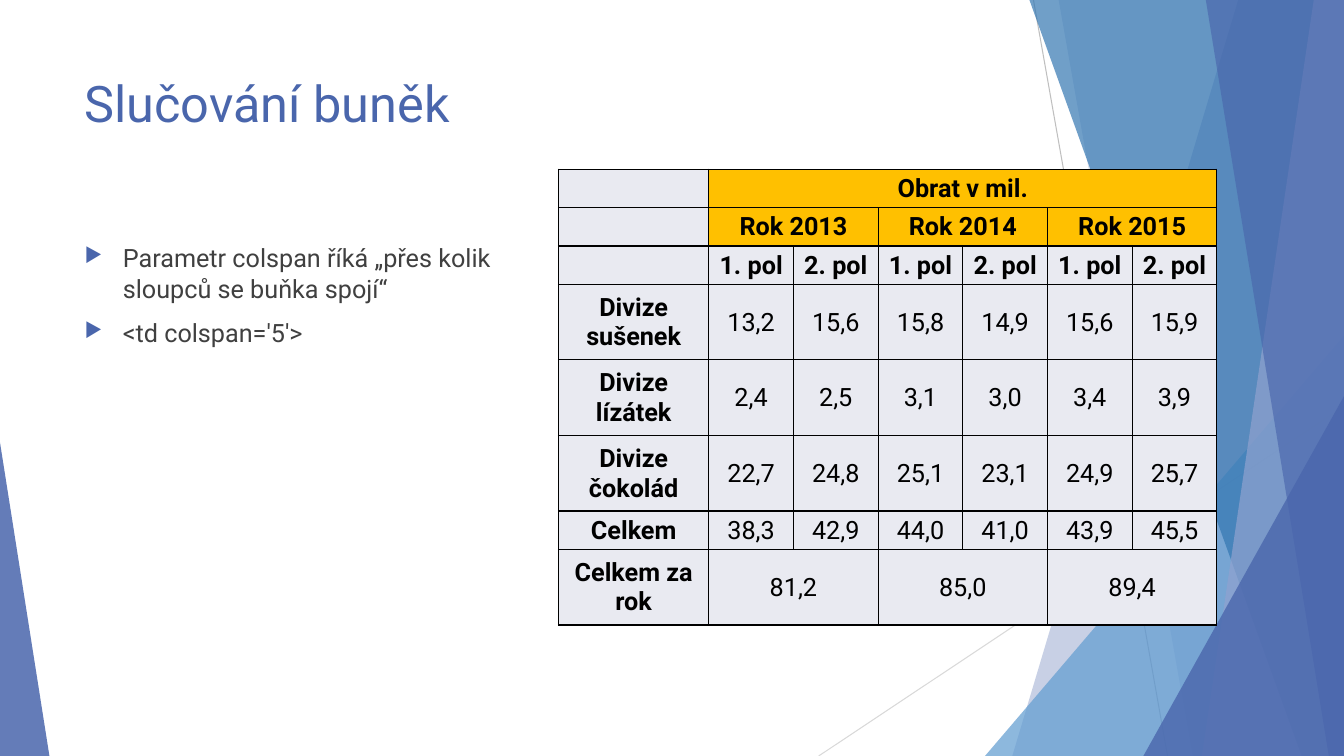
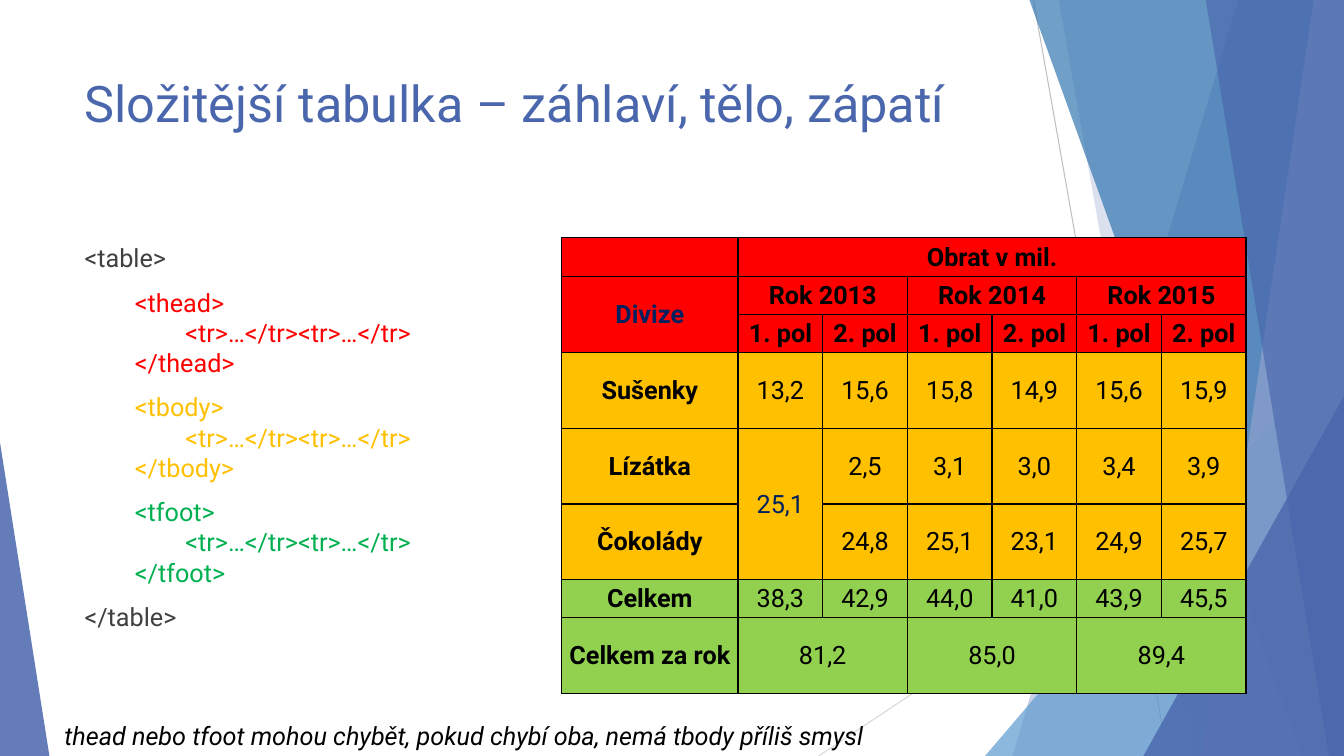
from dataclasses import dataclass

from lxml.etree import SubElement
from pptx import Presentation
from pptx.dml.color import RGBColor
from pptx.enum.shapes import MSO_CONNECTOR, MSO_SHAPE
from pptx.enum.text import MSO_ANCHOR, MSO_AUTO_SIZE, PP_ALIGN
from pptx.oxml.ns import qn
from pptx.util import Inches, Pt


@dataclass(frozen=True)
class Theme:
    font: str = "Roboto"
    title_size: int = 36
    text_size: int = 18
    blue: str = "4A66AC"
    sky: str = "629DD1"
    ocean: str = "3477B2"
    lavender: str = "90A2CF"
    ray: str = "BFBFBF"
    pale_ray: str = "D9D9D9"
    text: str = "404040"
    black: str = "000000"
    navy: str = "002060"
    pale: str = "E9EAF1"
    amber: str = "FFC000"
    red: str = "FF0000"
    green: str = "00B050"
    lime: str = "92D050"


T = Theme()
WIDTH, HEIGHT = 13.33, 7.5

RAYS = [
    ((10.25, 0), (11.58, HEIGHT), T.ray),
    ((WIDTH, 4.03), (8.12, HEIGHT), T.pale_ray),
]
BAND, TRIANGLE = "band", "triangle"
BACKDROP = [
    (BAND, (12.28, 10.04), T.blue, 30),
    (BAND, (10.5, 11.83), T.blue, 20),
    (TRIANGLE, (9.77, 3.33, 3.56, 1), T.sky, 72),
    (BAND, (10.21, 12.91), T.ocean, 70),
    (BAND, (13.03, 11.92), T.lavender, 70),
    (BAND, (11.96, 13.18), T.blue, 65),
    (TRIANGLE, (11.34, 3.93, 1.99, 1), T.blue, 80),
    (TRIANGLE, (0, 4.39, 0.49, 0), T.blue, 85),
]

TITLE_BOX = (0.74, 0.67, 9.4, 1.44)
BODY_BOX = (0.74, 2.36, 4.58, 4.24)
NOTE_BOX = (0.54, 7.1, 9.39, 0.4)
HALF_YEAR_WIDTH = 0.84
ROW_HEIGHTS = [0.38, 0.38, 0.38, 0.75, 0.75, 0.75, 0.38, 0.75]
HEAD_ROWS = 3

LEFT, UP = "<", "^"
TURNOVER = ["Obrat v mil."] + [LEFT] * 5
YEARS = ["Rok 2013", LEFT, "Rok 2014", LEFT, "Rok 2015", LEFT]
HALVES = ["1. pol", "2. pol"] * 3
BISCUITS = ["13,2", "15,6", "15,8", "14,9", "15,6", "15,9"]
LOLLIPOPS = ["2,4", "2,5", "3,1", "3,0", "3,4", "3,9"]
CHOCOLATES = ["22,7", "24,8", "25,1", "23,1", "24,9", "25,7"]
TOTALS = ["38,3", "42,9", "44,0", "41,0", "43,9", "45,5"]
YEAR_TOTALS = ["81,2", LEFT, "85,0", LEFT, "89,4", LEFT]

SLIDES = [
    {
        "title": "Slučování buněk",
        "bullets": True,
        "body": [
            ("Parametr colspan říká „přes kolik sloupců se buňka spojí“", T.text),
            ("<td colspan='5'>", T.text),
        ],
        "table_at": (5.54, 1.68),
        "label_width": 1.49,
        "label_fills": [T.pale] * 8,
        "value_fills": [T.amber] * 2 + [T.pale] * 6,
        "rows": [
            ["", *TURNOVER],
            ["", *YEARS],
            ["", *HALVES],
            ["Divize sušenek", *BISCUITS],
            ["Divize lízátek", *LOLLIPOPS],
            ["Divize čokolád", *CHOCOLATES],
            ["Celkem", *TOTALS],
            ["Celkem za rok", *YEAR_TOTALS],
        ],
    },
    {
        "title": "Složitější tabulka – záhlaví, tělo, zápatí",
        "bullets": False,
        "body": [
            ("<table>", T.text),
            ("\t<thead>\v\t\t<tr>…</tr><tr>…</tr>\v\t</thead>", T.red),
            ("\t<tbody>\v\t\t<tr>…</tr><tr>…</tr>\v\t</tbody>", T.amber),
            ("\t<tfoot>\v\t\t<tr>…</tr><tr>…</tr>\v\t</tfoot>", T.green),
            ("</table>", T.text),
        ],
        "table_at": (5.57, 2.36),
        "label_width": 1.75,
        "label_fills": [T.red] * 3 + [T.amber] * 3 + [T.lime] * 2,
        "value_fills": [T.red] * 3 + [T.amber] * 3 + [T.lime] * 2,
        "rows": [
            ["", *TURNOVER],
            ["Divize", *YEARS],
            [UP, *HALVES],
            ["Sušenky", *BISCUITS],
            ["Lízátka", "25,1", *LOLLIPOPS[1:]],
            ["Čokolády", UP, *CHOCOLATES[1:]],
            ["Celkem", *TOTALS],
            ["Celkem za rok", *YEAR_TOTALS],
        ],
        "note": "thead nebo tfoot mohou chybět, pokud chybí oba, nemá tbody příliš smysl",
    },
]


def inches(values):
    return [Inches(v) for v in values]


def rgb(color):
    return RGBColor.from_string(color)


def style_runs(p, color, size=T.text_size, bold=False, italic=False):
    for r in p.runs:
        r.font.name = T.font
        r.font.size = Pt(size)
        r.font.color.rgb = rgb(color)
        r.font.bold = bold
        r.font.italic = italic


def paint(sp, color, opacity):
    sp.shadow.inherit = False
    sp.line.fill.background()
    sp.fill.solid()
    sp.fill.fore_color.rgb = rgb(color)
    clr = next(sp.element.spPr.iter(qn("a:srgbClr")))
    SubElement(clr, qn("a:alpha"), val=str(opacity * 1000))


def draw_backdrop(shapes):
    for start, end, color in RAYS:
        ray = shapes.add_connector(MSO_CONNECTOR.STRAIGHT, *inches(start + end))
        ray.line.color.rgb = rgb(color)
        ray.line.width = Pt(0.75)
        SubElement(ray.element.spPr, qn("a:effectLst"))
        yield ray
    for kind, geometry, color, opacity in BACKDROP:
        if kind == BAND:
            top_x, bottom_x = geometry
            outline = shapes.build_freeform(Inches(top_x), 0)
            corners = [(WIDTH, 0), (WIDTH, HEIGHT), (bottom_x, HEIGHT)]
            outline.add_line_segments([inches(c) for c in corners], close=True)
            sp = outline.convert_to_shape()
        else:
            x, y, width, apex = geometry
            box = inches((x, y, width, HEIGHT - y))
            sp = shapes.add_shape(MSO_SHAPE.ISOSCELES_TRIANGLE, *box)
            sp.adjustments[0] = apex
        paint(sp, color, opacity)
        yield sp


def move_backdrop_to_layout(s, layout):
    for ph in list(layout.placeholders):
        if ph.placeholder_format.idx != 0:
            ph.element.getparent().remove(ph.element)
    for sp in list(draw_backdrop(s.shapes)):
        layout.shapes.element.append(sp.element)


def add_title(s, text):
    sp = s.shapes.title
    sp.left, sp.top, sp.width, sp.height = inches(TITLE_BOX)
    tf = sp.text_frame
    tf.text = text
    tf.auto_size = MSO_AUTO_SIZE.NONE
    tf.vertical_anchor = MSO_ANCHOR.TOP
    tf.paragraphs[0].alignment = PP_ALIGN.LEFT
    style_runs(tf.paragraphs[0], T.blue, T.title_size)


def add_bullet(p):
    pPr = p._p.get_or_add_pPr()
    pPr.set("marL", str(Inches(0.38)))
    pPr.set("indent", str(-Inches(0.38)))
    SubElement(SubElement(pPr, qn("a:buClr")), qn("a:srgbClr"), val=T.blue)
    SubElement(pPr, qn("a:buSzPct"), val="80000")
    SubElement(pPr, qn("a:buChar"), char="▶")


def add_tabs(p):
    tabs = SubElement(p._p.get_or_add_pPr(), qn("a:tabLst"))
    for stop in (0.5, 1):
        SubElement(tabs, qn("a:tab"), pos=str(Inches(stop)), algn="l")


def add_text(s, box, lines, decorate=None, italic=False):
    tf = s.shapes.add_textbox(*inches(box)).text_frame
    tf.word_wrap = True
    for i, (text, color) in enumerate(lines):
        p = tf.add_paragraph() if i else tf.paragraphs[0]
        p.text = text
        if decorate:
            decorate(p)
        if i:
            p.space_before = Pt(10)
        style_runs(p, color, italic=italic)


def add_borders(cell):
    tcPr = cell._tc.get_or_add_tcPr()
    for side in ("a:lnL", "a:lnR", "a:lnT", "a:lnB"):
        ln = SubElement(tcPr, qn(side), w=str(Pt(1)))
        SubElement(SubElement(ln, qn("a:solidFill")), qn("a:srgbClr"), val=T.black)


def span_of(rows, i, j):
    bottom, right = i, j
    while right + 1 < len(rows[i]) and rows[i][right + 1] == LEFT:
        right += 1
    while bottom + 1 < len(rows) and rows[bottom + 1][j] == UP:
        bottom += 1
    return bottom, right


def add_turnover_table(s, data):
    rows = data["rows"]
    widths = [data["label_width"]] + [HALF_YEAR_WIDTH] * len(HALVES)
    box = (*data["table_at"], sum(widths), sum(ROW_HEIGHTS))
    table = s.shapes.add_table(len(rows), len(widths), *inches(box)).table
    table.first_row = table.horz_banding = False
    for column, width in zip(table.columns, widths):
        column.width = Inches(width)
    for row, height in zip(table.rows, ROW_HEIGHTS):
        row.height = Inches(height)
    for i, values in enumerate(rows):
        for j, text in enumerate(values):
            cell = table.cell(i, j)
            add_borders(cell)
            cell.fill.solid()
            fills = data["value_fills"] if j else data["label_fills"]
            cell.fill.fore_color.rgb = rgb(fills[i])
            cell.margin_left = cell.margin_right = cell.margin_top = Inches(0.01)
            cell.margin_bottom = 0
            cell.vertical_anchor = MSO_ANCHOR.MIDDLE
            if text in (LEFT, UP):
                continue
            bottom, right = span_of(rows, i, j)
            if (bottom, right) != (i, j):
                cell.merge(table.cell(bottom, right))
            p = cell.text_frame.paragraphs[0]
            p.text = text
            p.alignment = PP_ALIGN.CENTER
            color = T.navy if bottom > i else T.black
            style_runs(p, color, bold=i < HEAD_ROWS or j == 0)


def main():
    prs = Presentation()
    prs.slide_width, prs.slide_height = inches((WIDTH, HEIGHT))
    layout = prs.slide_layouts.get_by_name("Title Only")
    for i, data in enumerate(SLIDES):
        s = prs.slides.add_slide(layout)
        if i == 0:
            move_backdrop_to_layout(s, layout)
        add_title(s, data["title"])
        add_text(s, BODY_BOX, data["body"], add_bullet if data["bullets"] else add_tabs)
        add_turnover_table(s, data)
        if "note" in data:
            add_text(s, NOTE_BOX, [(data["note"], T.black)], italic=True)
    prs.save("out.pptx")


if __name__ == "__main__":
    main()
